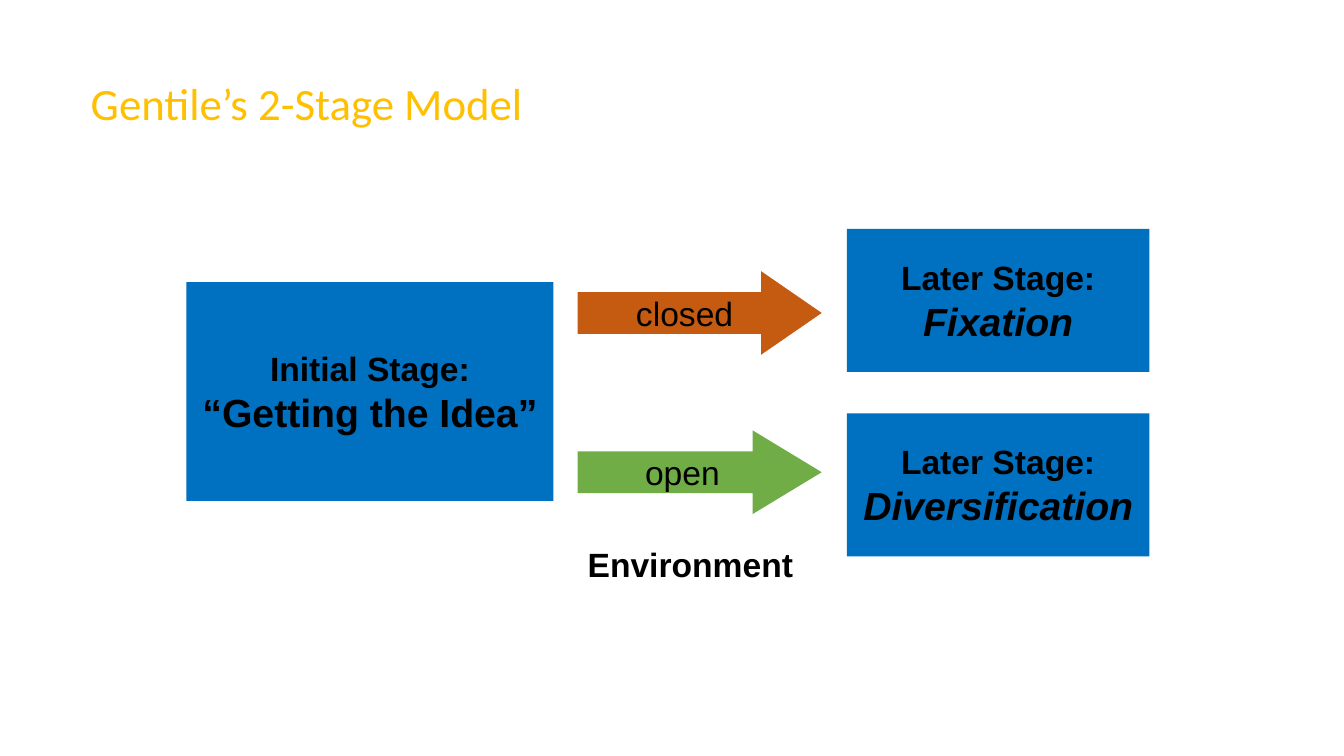
from pptx import Presentation
from pptx.dml.color import RGBColor
from pptx.enum.shapes import MSO_SHAPE
from pptx.enum.text import MSO_ANCHOR, PP_ALIGN
from pptx.util import Inches, Pt

COLORS = {"title": "FFC000", "stage": "0070C0", "closed": "C55A11",
          "open": "70AD47", "text": "000000"}
LABEL_SIZE, NAME_SIZE, TITLE_SIZE = 24, 28, 32

# Columns and rows of the diagram, in inches
INITIAL_BOX = (1.85, 2.8, 3.64, 2.17)
ARROW_LEFT, ARROW_WIDTH, ARROW_HEIGHT = 5.73, 2.42, 0.83
LATER_LEFT, LATER_WIDTH, LATER_HEIGHT = 8.4, 3, 1.42

# Later stage, its top, environment, arrow top, arrowhead length
BRANCHES = [("Fixation", 2.27, "closed", 2.69, 0.725),
            ("Diversification", 4.1, "open", 4.27, 0.825)]


def add_span(para, text, size, color="text", font="Arial", bold=False, italic=False):
    span = para.add_run()
    span.text = text
    span.font.name = font
    span.font.size = Pt(size)
    span.font.bold = bold
    span.font.italic = italic
    span.font.color.rgb = RGBColor.from_string(COLORS[color])


def add_block(page, kind, box, color):
    block = page.shapes.add_shape(kind, *map(Inches, box))
    block.shadow.inherit = False
    block.fill.solid()
    block.fill.fore_color.rgb = RGBColor.from_string(COLORS[color])
    block.line.fill.background()
    block.text_frame.word_wrap = False
    block.text_frame.vertical_anchor = MSO_ANCHOR.MIDDLE
    block.text_frame.paragraphs[0].alignment = PP_ALIGN.CENTER
    return block


def add_title(page, box, text):
    title = page.shapes.title
    title.left, title.top, title.width, title.height = map(Inches, box)
    title.text_frame.vertical_anchor = MSO_ANCHOR.TOP
    para = title.text_frame.paragraphs[0]
    para.alignment = PP_ALIGN.LEFT
    add_span(para, text, TITLE_SIZE, "title", "Calibri")


def add_stage(page, box, label, name, italic=False):
    frame = add_block(page, MSO_SHAPE.RECTANGLE, box, "stage").text_frame
    add_span(frame.paragraphs[0], label, LABEL_SIZE, bold=True)
    para = frame.add_paragraph()
    para.alignment = PP_ALIGN.CENTER
    add_span(para, name, NAME_SIZE, bold=True, italic=italic)


def add_arrow(page, box, environment, head_length):
    arrow = add_block(page, MSO_SHAPE.RIGHT_ARROW, box, environment)
    arrow.adjustments[0] = 0.5
    arrow.adjustments[1] = head_length
    add_span(arrow.text_frame.paragraphs[0], environment, LABEL_SIZE)


def add_caption(page, box, text):
    caption = page.shapes.add_textbox(*map(Inches, box))
    caption.text_frame.word_wrap = True
    add_span(caption.text_frame.paragraphs[0], text, LABEL_SIZE, bold=True)


def main():
    deck = Presentation()
    deck.slide_width, deck.slide_height = Inches(13.33), Inches(7.5)
    page = deck.slides.add_slide(deck.slide_layouts.get_by_name("Title Only"))

    add_title(page, (0.8, 0.7, 11.82, 0.64), "Gentile’s 2-Stage Model")

    # Initial stage, then one arrow and later stage per environment
    add_stage(page, INITIAL_BOX, "Initial Stage:", "“Getting the Idea”")
    for name, top, environment, arrow_top, head_length in BRANCHES:
        add_stage(page, (LATER_LEFT, top, LATER_WIDTH, LATER_HEIGHT),
                  "Later Stage:", name, italic=True)
        add_arrow(page, (ARROW_LEFT, arrow_top, ARROW_WIDTH, ARROW_HEIGHT),
                  environment, head_length)
    add_caption(page, (ARROW_LEFT, 5.35, 2.25, 0.5), "Environment")

    deck.save("out.pptx")


if __name__ == "__main__":
    main()
